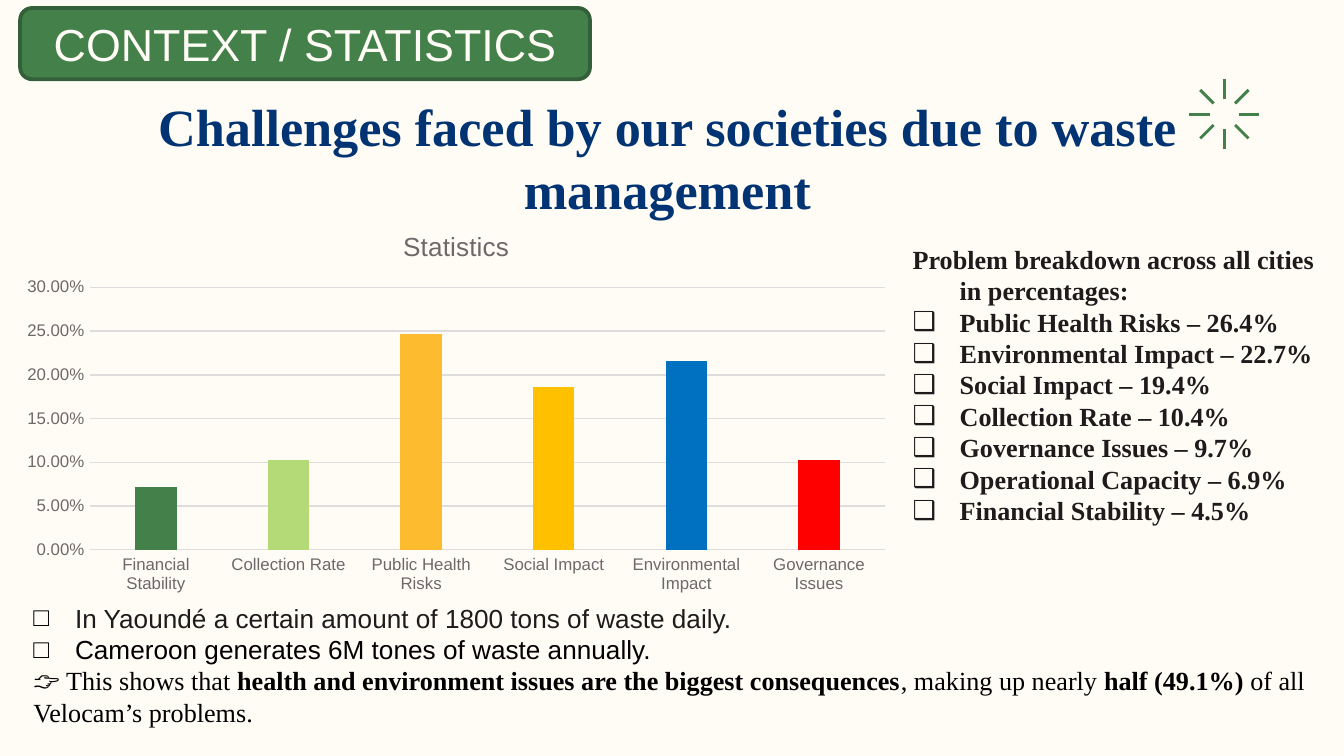
from dataclasses import dataclass

from lxml import etree
from pptx import Presentation
from pptx.chart.data import CategoryChartData
from pptx.dml.color import RGBColor
from pptx.enum.chart import XL_CHART_TYPE, XL_TICK_MARK
from pptx.enum.shapes import MSO_CONNECTOR, MSO_SHAPE
from pptx.enum.text import MSO_ANCHOR, MSO_AUTO_SIZE, PP_ALIGN
from pptx.oxml.ns import qn
from pptx.util import Pt

COLUMNS = XL_CHART_TYPE.COLUMN_CLUSTERED
NO_TICK = XL_TICK_MARK.NONE
STRAIGHT = MSO_CONNECTOR.STRAIGHT
ROUNDED = MSO_SHAPE.ROUNDED_RECTANGLE
TOP, MIDDLE = MSO_ANCHOR.TOP, MSO_ANCHOR.MIDDLE
NO_FIT = MSO_AUTO_SIZE.NONE
LEFT, CENTER = PP_ALIGN.LEFT, PP_ALIGN.CENTER

PX = 9144  # EMU in one px, 100 px to the inch


@dataclass(frozen=True)
class Theme:
    paper: str = "FFFCF6"
    ink: str = "1D1B1C"
    black: str = "000000"
    navy: str = "023473"
    green: str = "44804A"
    dark_green: str = "336038"
    grey: str = "6F686B"
    grid: str = "DEDCDD"
    serif: str = "Times New Roman"
    sans: str = "Arial"
    title: int = 28
    badge: int = 24
    text: int = 14
    axis: int = 9


THEME = Theme()

BREAKDOWN = [
    ("Public Health Risks", "26.4%"),
    ("Environmental Impact", "22.7%"),
    ("Social Impact", "19.4%"),
    ("Collection Rate", "10.4%"),
    ("Governance Issues", "9.7%"),
    ("Operational Capacity", "6.9%"),
    ("Financial Stability", "4.5%"),
]
STATISTICS = [  # category, value, column colour
    ("Financial Stability", 0.072, THEME.green),
    ("Collection Rate", 0.103, "B4D977"),
    ("Public Health Risks", 0.247, "FDBC2F"),
    ("Social Impact", 0.186, "FFC000"),
    ("Environmental Impact", 0.216, "0070C0"),
    ("Governance Issues", 0.103, "FF0000"),
]
FACTS = [
    ("In Yaoundé a certain amount of 1800 tons of waste daily.", THEME.ink),
    ("Cameroon generates 6M tones of waste annually.", THEME.black),
]
CONCLUSION = [  # text, bold
    ("👉 This shows that ", False),
    ("health and environment issues are the biggest consequences", True),
    (", making up nearly ", False),
    ("half (49.1%)", True),
    (" of all Velocam’s problems.", False),
]


def emu(box):
    return [length * PX for length in box]


def rgb(code):
    return RGBColor.from_string(code)


def set_font(font, name, size, color, bold=False):
    font.name, font.size, font.bold = name, Pt(size), bold
    font.color.rgb = rgb(color)


def set_line(line, color, width):
    line.color.rgb = rgb(color)
    line.width = Pt(width)


def set_bullet(para, margin, indent, char=None, color=None):
    """Set the hanging indent, and a bullet if a character is given."""
    props = para._p.get_or_add_pPr()
    props.set("marL", str(margin * PX))
    props.set("indent", str(indent * PX))
    if char is None:
        etree.SubElement(props, qn("a:buNone"))
        return
    holder = etree.SubElement(props, qn("a:buClr"))
    etree.SubElement(holder, qn("a:srgbClr"), val=color)
    etree.SubElement(props, qn("a:buFont"), typeface=THEME.sans)
    etree.SubElement(props, qn("a:buChar"), char=char)


def set_frame(shape, inset_x, inset_y, anchor=TOP):
    frame = shape.text_frame
    frame.word_wrap, frame.auto_size = True, NO_FIT
    frame.vertical_anchor = anchor
    frame.margin_left = frame.margin_right = inset_x * PX
    frame.margin_top = frame.margin_bottom = inset_y * PX
    return frame


def next_para(frame, first, align=LEFT):
    para = frame.paragraphs[0] if first else frame.add_paragraph()
    para.alignment = align
    para.space_before = Pt(0)
    return para


def place(shape, box):
    shape.left, shape.top, shape.width, shape.height = emu(box)


def fill_title(shape, box):
    place(shape, box)
    para = next_para(set_frame(shape, 10, 10), True, CENTER)
    para.text = "Challenges faced by our societies due to waste management"
    set_font(para.font, THEME.serif, THEME.title, THEME.navy, True)


def fill_breakdown(shape, box):
    place(shape, box)
    frame = set_frame(shape, 10, 10)
    lines = ["Problem breakdown across all cities in percentages:"]
    lines += [f"{name} – {share}" for name, share in BREAKDOWN]
    for index, line in enumerate(lines):
        para = next_para(frame, index == 0)
        para.text = line
        set_bullet(para, 50, -35, "❑" if index else None, THEME.ink)
        set_font(para.font, THEME.serif, THEME.text, THEME.ink, True)


def add_sparkle(page, box):
    """Eight rays around the middle of the box."""
    left, top, width, height = box
    x, y = left + width // 2, top + height // 2
    steps = (-1, 0, 1)
    for dx, dy in [(a, b) for a in steps for b in steps if a or b]:
        inner, outer = (8, 18) if dx and dy else (11, 26)
        ends = (x + dx * inner, y + dy * inner, x + dx * outer, y + dy * outer)
        ray = page.shapes.add_connector(STRAIGHT, *emu(ends))
        set_line(ray.line, THEME.green, 1.58)
        etree.SubElement(ray._element.spPr, qn("a:effectLst"))


def add_facts(page, box):
    frame = set_frame(page.shapes.add_textbox(*emu(box)), 10, 5)
    for index, (fact, color) in enumerate(FACTS):
        para = next_para(frame, index == 0)
        para.text = fact
        set_bullet(para, 31, -31, "□", THEME.black)
        set_font(para.font, THEME.sans, THEME.text, color)
    para = next_para(frame, False)
    set_font(para.font, THEME.serif, THEME.text, THEME.black)
    for words, bold in CONCLUSION:
        span = para.add_run()
        span.text, span.font.bold = words, bold


def add_badge(page, box):
    badge = page.shapes.add_shape(ROUNDED, *emu(box))
    badge.shadow.inherit = False
    badge.fill.solid()
    badge.fill.fore_color.rgb = rgb(THEME.green)
    set_line(badge.line, THEME.dark_green, 2)
    para = set_frame(badge, 10, 5, MIDDLE).paragraphs[0]
    para.text, para.alignment = "CONTEXT / STATISTICS", CENTER
    set_font(para.font, THEME.sans, THEME.badge, THEME.paper)


def add_statistics(page, box):
    data = CategoryChartData(number_format="0.00%")
    data.categories = [name for name, _, _ in STATISTICS]
    data.add_series("Statistics", [value for _, value, _ in STATISTICS])
    chart = page.shapes.add_chart(COLUMNS, *emu(box), data).chart
    set_font(chart.font, THEME.sans, THEME.axis, THEME.grey)
    chart.has_legend, chart.has_title = False, True
    heading = chart.chart_title.text_frame.paragraphs[0]
    span = heading.add_run()
    span.text = "Statistics"
    set_font(span.font, THEME.sans, THEME.text, THEME.grey)
    # Columns
    plot = chart.plots[0]
    plot.gap_width, plot.overlap, plot.vary_by_categories = 219, -27, False
    for index, (_, _, color) in enumerate(STATISTICS):
        fill = plot.series[0].points[index].format.fill
        fill.solid()
        fill.fore_color.rgb = rgb(color)
    # Axes
    for axis in (chart.category_axis, chart.value_axis):
        axis.major_tick_mark = axis.minor_tick_mark = NO_TICK
        set_font(axis.tick_labels.font, THEME.sans, THEME.axis, THEME.grey)
    set_line(chart.category_axis.format.line, THEME.grid, 0.75)
    values = chart.value_axis
    values.minimum_scale, values.maximum_scale, values.major_unit = 0, 0.3, 0.05
    values.format.line.fill.background()
    set_line(values.major_gridlines.format.line, THEME.grid, 0.75)
    values.tick_labels.number_format = "0.00%"
    values.tick_labels.number_format_is_linked = False


def main():
    deck = Presentation()
    deck.slide_width = 1000 * PX
    deck.slide_height = deck.slide_width * 9 // 16
    page = deck.slides.add_slide(deck.slide_layouts[1])
    page.background.fill.solid()
    page.background.fill.fore_color.rgb = rgb(THEME.paper)
    fill_title(page.shapes.title, (0, 60, 993, 101))
    fill_breakdown(page.placeholders[1], (654, 171, 336, 244))
    add_sparkle(page, (885, 59, 52, 52))
    add_facts(page, (15, 443, 985, 119))
    add_badge(page, (15, 6, 424, 53))
    add_statistics(page, (7, 156, 665, 292))
    deck.save("out.pptx")


if __name__ == "__main__":
    main()
